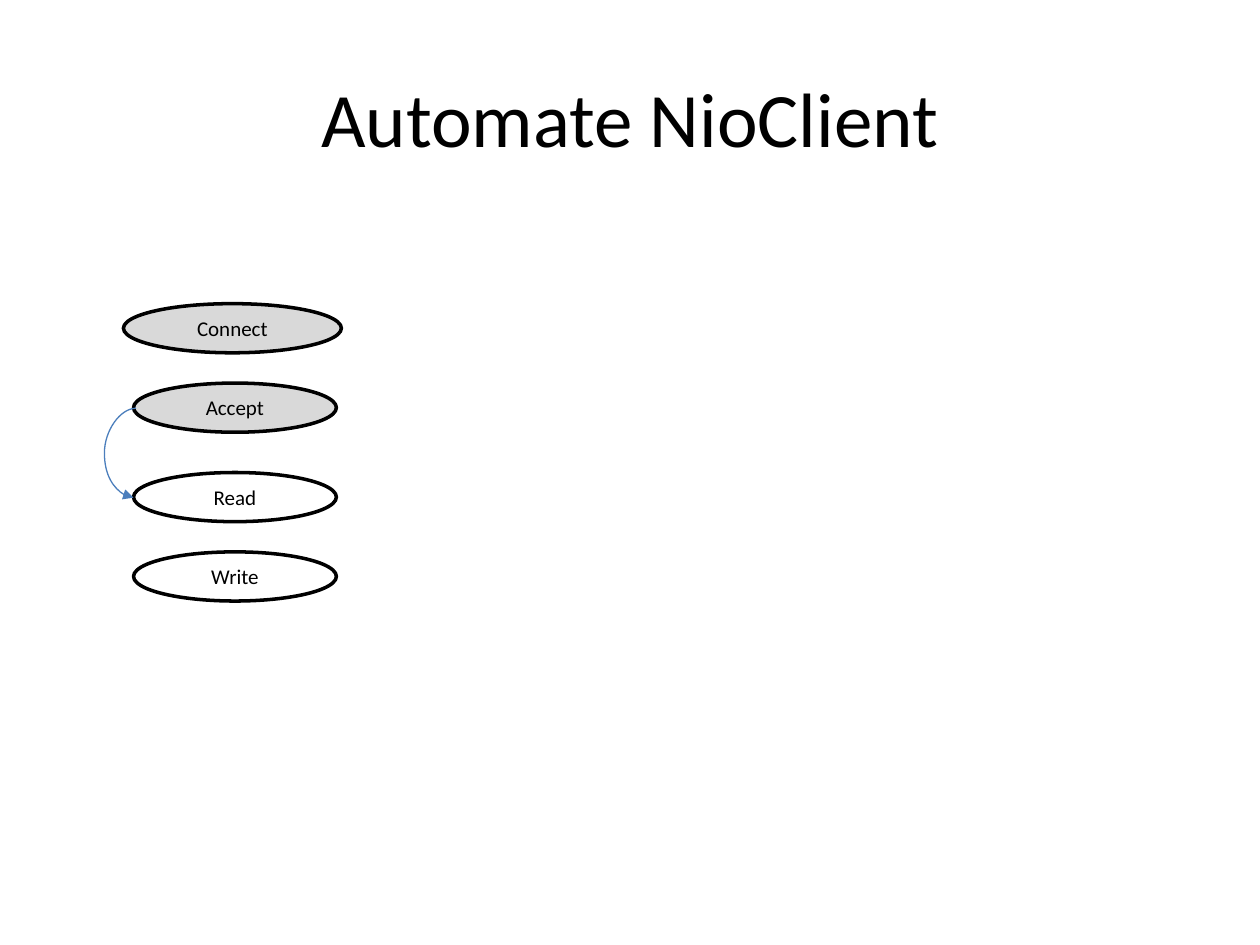
import pptx
import pptx.util
import pptx.dml.color
import pptx.enum.shapes
import pptx.enum.text
import pptx.oxml.ns
from lxml import etree

Inches, Pt = pptx.util.Inches, pptx.util.Pt
RGBColor = pptx.dml.color.RGBColor
qn = pptx.oxml.ns.qn

BLACK = RGBColor(0x00, 0x00, 0x00)
WHITE = RGBColor(0xFF, 0xFF, 0xFF)
GREY = RGBColor(0xD9, 0xD9, 0xD9)
BLUE = RGBColor(0x4B, 0x7E, 0xBC)

STATE_HEIGHT = 0.39
# Label, left, top, width, fill
STATES = [
    ("Connect", 0.98, 2.41, 1.73, GREY),
    ("Accept", 1.06, 3.04, 1.61, GREY),
    ("Read", 1.06, 3.75, 1.61, WHITE),
    ("Write", 1.06, 4.38, 1.61, WHITE),
]


def set_text(tf, text, size):
    tf.text = text
    tf.vertical_anchor = pptx.enum.text.MSO_ANCHOR.MIDDLE
    p = tf.paragraphs[0]
    p.alignment = pptx.enum.text.PP_ALIGN.CENTER
    font = p.runs[0].font
    for name, value in {"name": "Calibri", "size": Pt(size)}.items():
        setattr(font, name, value)
    font.color.rgb = BLACK


def add_title(s, text):
    sp = s.shapes.title
    box = {"left": 0.5, "top": 0.3, "width": 9, "height": 1.25}
    for name, value in box.items():
        setattr(sp, name, Inches(value))
    set_text(sp.text_frame, text, 44)


def add_state(s, text, left, top, width, fill):
    sp = s.shapes.add_shape(
        pptx.enum.shapes.MSO_SHAPE.OVAL,
        Inches(left), Inches(top), Inches(width), Inches(STATE_HEIGHT))
    sp.shadow.inherit = False
    sp.fill.solid()
    sp.fill.fore_color.rgb = fill
    sp.line.color.rgb = BLACK
    sp.line.width = Pt(2)
    set_text(sp.text_frame, text, 12)


def add_curved_arrow(s, x1, y1, x2, y2, bend_x):
    cxn = s.shapes.add_connector(
        pptx.enum.shapes.MSO_CONNECTOR.CURVE,
        Inches(x1), Inches(y1), Inches(x2), Inches(y2))
    cxn.line.color.rgb = BLUE
    cxn.line.width = Pt(0.75)
    # Bend position, as a share of the connector's width
    share = round((bend_x - x1) / (x2 - x1) * 100000)
    guides = cxn._element.spPr.find(qn("a:prstGeom")).get_or_add_avLst()
    etree.SubElement(guides, qn("a:gd"), name="adj1", fmla=f"val {share}")
    # Arrowhead, no shadow
    etree.SubElement(cxn.line._get_or_add_ln(), qn("a:tailEnd"), type="triangle")
    etree.SubElement(cxn._element.spPr, qn("a:effectLst"))


def main():
    prs = pptx.Presentation()
    prs.slide_width, prs.slide_height = Inches(10), Inches(7.5)
    s = prs.slides.add_slide(prs.slide_layouts[5])

    # Title
    add_title(s, "Automate NioClient")

    # States
    for state in STATES:
        add_state(s, *state)

    # Transition from Accept to Read
    add_curved_arrow(s, 1.08, 3.24, 1.06, 3.95, bend_x=0.83)

    prs.save("out.pptx")


main()
